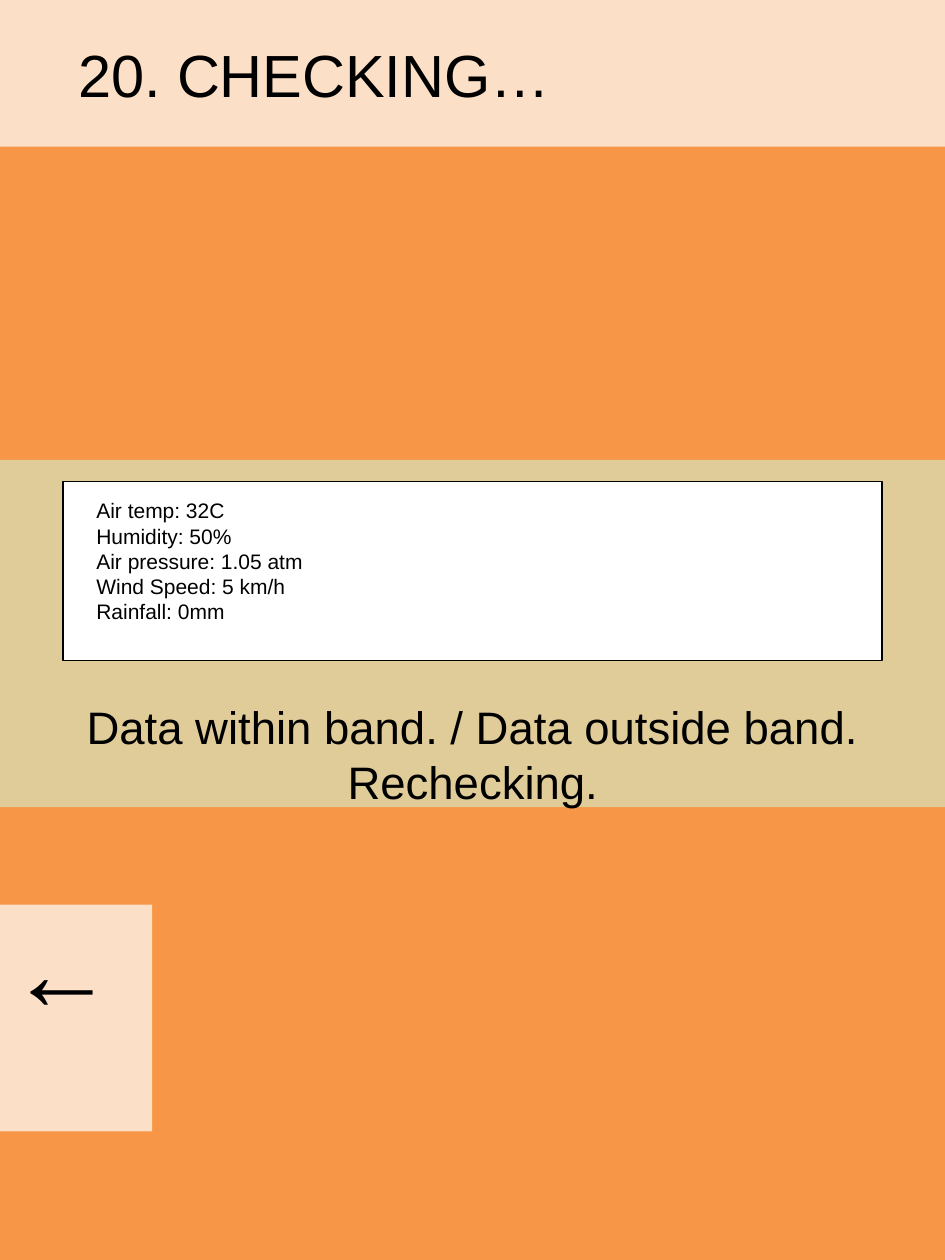
from lxml import etree
from pptx import Presentation
from pptx.dml.color import RGBColor
from pptx.enum.shapes import MSO_SHAPE
from pptx.enum.text import MSO_ANCHOR, MSO_AUTO_SIZE, PP_ALIGN
from pptx.oxml.ns import qn
from pptx.util import Pt

RECT = MSO_SHAPE.RECTANGLE
LEFT, CENTER = PP_ALIGN.LEFT, PP_ALIGN.CENTER
TOP = MSO_ANCHOR.TOP
NO_FIT = MSO_AUTO_SIZE.NONE

WIDTH, HEIGHT = 540, 720
FONT = "Arial"
ORANGE, GREEN, WHITE, BLACK = "F79646", "D7E4BD", "FFFFFF", "000000"
READINGS = [
    "Air temp: 32C",
    "Humidity: 50%",
    "Air pressure: 1.05 atm",
    "Wind Speed: 5 km/h",
    "Rainfall: 0mm",
]


def color(code):
    return RGBColor.from_string(code)


def add_rect(shapes, box, fill, alpha=None, line=None):
    """Add a rectangle; alpha is its opacity in percent."""
    rect = shapes.add_shape(RECT, *map(Pt, box))
    rect.shadow.inherit = False
    rect.fill.solid()
    rect.fill.fore_color.rgb = color(fill)
    if alpha is not None:
        tint = rect.element.spPr.find(qn("a:solidFill"))[0]
        etree.SubElement(tint, qn("a:alpha"), val=str(alpha * 1000))
    if line:
        rect.line.color.rgb = color(line)
        rect.line.width = Pt(0.75)
    else:
        rect.line.fill.background()
    return rect


def write(frame, lines, size, align=LEFT):
    frame.word_wrap = True
    frame.auto_size = NO_FIT
    frame.vertical_anchor = TOP
    for i, line in enumerate(lines):
        para = frame.add_paragraph() if i else frame.paragraphs[0]
        para.alignment = align
        run = para.add_run()
        run.text = line
        run.font.name = FONT
        run.font.size = Pt(size)
        run.font.color.rgb = color(BLACK)


def add_text(shapes, box, lines, size, align=LEFT):
    text = shapes.add_textbox(*map(Pt, box))
    write(text.text_frame, lines, size, align)
    return text


def set_title(slide, box, words, size):
    """Place the title in front of the shapes drawn so far."""
    title = slide.shapes.title
    title.left, title.top, title.width, title.height = map(Pt, box)
    write(title.text_frame, [words], size)
    slide.shapes[-1].element.addnext(title.element)


def add_back(slide):
    """Add the back button: a panel with a turned arrow."""
    group = slide.shapes.add_group_shape()
    add_rect(group.shapes, (0, 517, 87, 129.5), WHITE, 70)
    arrow = add_text(group.shapes, (10.8, 540.7, 62, 80), ["→"], 60)
    arrow.rotation = 180


def main():
    deck = Presentation()
    deck.slide_width, deck.slide_height = Pt(WIDTH), Pt(HEIGHT)
    slide = deck.slides.add_slide(deck.slide_layouts[5])
    slide.background.fill.solid()
    slide.background.fill.fore_color.rgb = color(ORANGE)
    shapes = slide.shapes

    add_rect(shapes, (0, 262.8, WIDTH, 198.5), GREEN, 70)
    add_rect(shapes, (0, 0, WIDTH, 83.8), WHITE, 70)
    set_title(slide, (37.4, 18, 468, 48.5), "20. CHECKING…", 34)
    add_text(shapes, (18, 396, 504.5, 70.5),
             ["Data within band. / Data outside band. Rechecking."], 26, CENTER)
    add_back(slide)
    add_rect(shapes, (36, 275, 468, 102.3), WHITE, line=BLACK)
    add_text(shapes, (48, 281, 404.5, 80), READINGS, 12)

    deck.save("out.pptx")


if __name__ == "__main__":
    main()
